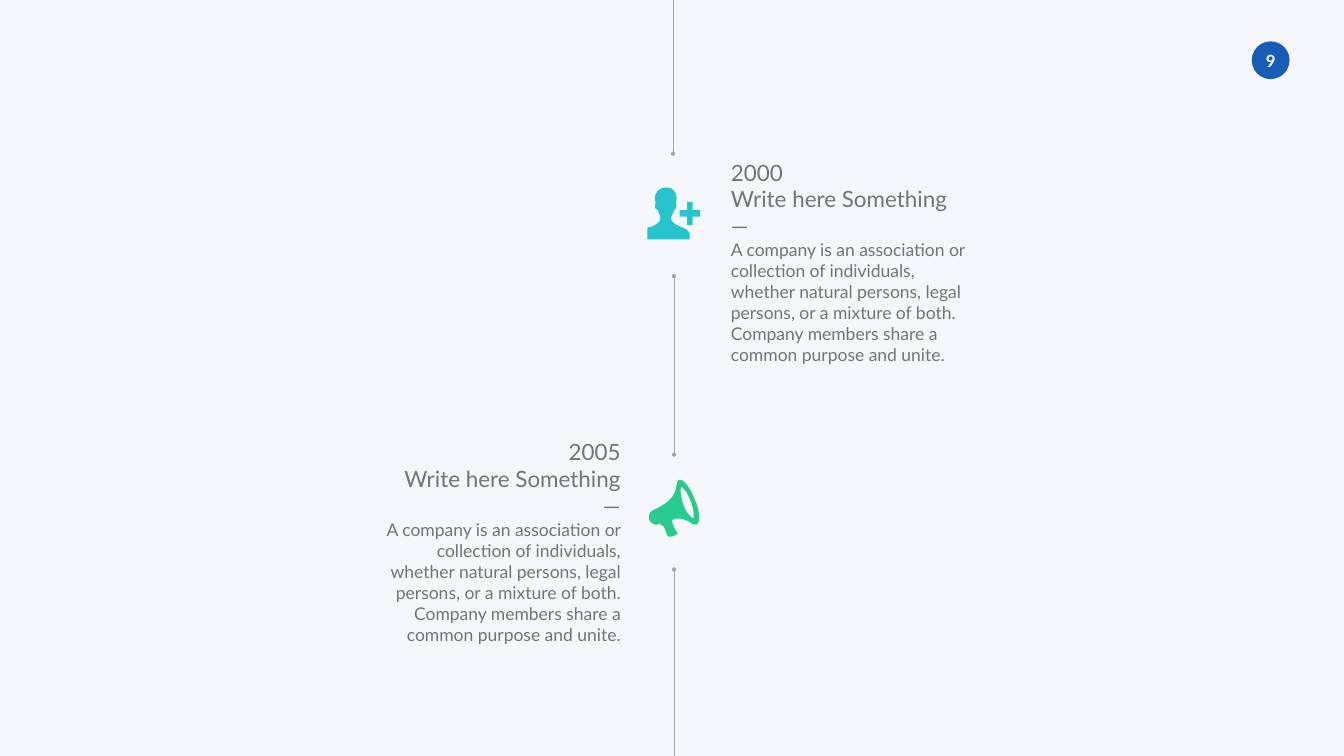
from lxml.etree import SubElement
from pptx import Presentation
from pptx.dml.color import RGBColor
from pptx.enum.shapes import MSO_CONNECTOR, MSO_SHAPE
from pptx.enum.text import PP_ALIGN
from pptx.oxml.ns import qn
from pptx.util import Inches, Pt

BACKGROUND = RGBColor(0xF6, 0xF7, 0xFA)
BLUE = RGBColor(0x17, 0x5C, 0xB5)
WHITE = RGBColor(0xFF, 0xFF, 0xFF)
LINE_GRAY = RGBColor(0xA6, 0xA6, 0xA6)
TEXT_GRAY = RGBColor(0x73, 0x75, 0x72)
TEAL = RGBColor(0x27, 0xC5, 0xCB)
GREEN = RGBColor(0x28, 0xCB, 0x8D)

BODY = (
    "A company is an association or collection of individuals, whether natural "
    "persons, legal persons, or a mixture of both. Company members share a "
    "common purpose and unite."
)

PERSON = [
    (13.5, 4.5),
    (13.37, 4.44, 13.31, 4.4, 13.31, 4.32),
    (13.31, 4.25, 13.35, 4.27, 13.37, 4.17),
    (13.39, 4.13, 13.42, 4.17, 13.42, 4.07),
    (13.42, 4.03, 13.41, 4.03, 13.41, 4.03),
    (13.41, 4.03, 13.42, 3.97, 13.42, 3.93),
    (13.42, 3.86, 13.39, 3.72, 13.22, 3.72),
    (13.03, 3.72, 12.99, 3.86, 12.99, 3.93),
    (12.99, 3.97, 13.01, 4.03, 13.01, 4.03),
    (13.01, 4.03, 12.99, 4.03, 12.99, 4.07),
    (12.99, 4.17, 13.03, 4.13, 13.05, 4.17),
    (13.07, 4.27, 13.1, 4.25, 13.1, 4.32),
    (13.1, 4.4, 13.05, 4.44, 12.92, 4.5),
    (12.92, 4.5, 12.88, 4.5, 12.84, 4.52),
    (12.84, 4.75),
    (13.68, 4.75),
    (13.68, 4.65),
    (13.68, 4.6, 13.63, 4.54, 13.5, 4.5),
]
PLUS = [
    (13.74, 4.17), (13.74, 4.01), (13.63, 4.01), (13.63, 4.17),
    (13.48, 4.17), (13.48, 4.3), (13.63, 4.3), (13.63, 4.46),
    (13.74, 4.46), (13.74, 4.3), (13.89, 4.3), (13.89, 4.17),
]
MEGAPHONE = [
    (13.78, 9.91),
    (13.7, 9.68, 13.56, 9.5, 13.47, 9.52),
    (13.35, 9.59, 13.56, 9.86, 12.94, 10.13),
    (12.88, 10.16, 12.86, 10.25, 12.88, 10.32),
    (12.9, 10.36, 12.98, 10.43, 13.04, 10.41),
    (13.08, 10.38),
    (13.13, 10.45, 13.17, 10.41, 13.17, 10.45),
    (13.19, 10.5, 13.23, 10.59, 13.23, 10.61),
    (13.25, 10.63, 13.27, 10.68, 13.29, 10.65),
    (13.31, 10.65, 13.39, 10.63, 13.41, 10.61),
    (13.45, 10.61, 13.45, 10.59, 13.43, 10.56),
    (13.43, 10.54, 13.39, 10.52, 13.39, 10.5),
    (13.37, 10.47, 13.35, 10.38, 13.33, 10.36),
    (13.31, 10.34, 13.35, 10.29, 13.39, 10.29),
    (13.68, 10.27, 13.72, 10.45, 13.82, 10.41),
    (13.89, 10.38, 13.89, 10.13, 13.78, 9.91),
]
MEGAPHONE_OPENING = [
    (13.76, 10.29),
    (13.74, 10.29, 13.62, 10.2, 13.56, 10.02),
    (13.49, 9.84, 13.49, 9.66, 13.52, 9.66),
    (13.54, 9.66, 13.64, 9.77, 13.7, 9.95),
    (13.78, 10.13, 13.76, 10.27, 13.76, 10.29),
]


class TimelinePage:
    font_name = "Lato"

    def __init__(self, deck):
        self.page = deck.slides.add_slide(deck.slide_layouts[6])
        self.shapes = self.page.shapes
        fill = self.page.background.fill
        fill.solid()
        fill.fore_color.rgb = BACKGROUND

    def paint(self, shape, color):
        shape.shadow.inherit = False
        shape.fill.solid()
        shape.fill.fore_color.rgb = color
        shape.line.fill.background()

    def circle(self, left, top, size, color):
        shape = self.shapes.add_shape(
            MSO_SHAPE.OVAL, Inches(left), Inches(top), Inches(size), Inches(size)
        )
        self.paint(shape, color)

    def icon(self, outlines, color):
        builder = None
        for outline in outlines:
            points = [
                (Inches(x), Inches(y))
                for piece in outline
                for x, y in zip(piece[::2], piece[1::2])
            ]
            if builder is None:
                builder = self.shapes.build_freeform(*points[0], scale=1.0)
            else:
                builder.move_to(*points[0])
            builder.add_line_segments(points[1:], close=True)
        shape = builder.convert_to_shape()
        self.bend(shape, [piece for outline in outlines for piece in outline[1:]])
        self.paint(shape, color)

    def bend(self, shape, pieces):
        contour = next(shape._element.iter(qn("a:path")))
        segments = iter(contour.findall(qn("a:lnTo")))
        for piece in pieces:
            segment = next(segments)
            if len(piece) == 6:
                segment.tag = qn("a:cubicBezTo")
                for extra in (next(segments), next(segments)):
                    segment.append(extra[0])
                    contour.remove(extra)

    def line(self, x, start, end, dots):
        connector = self.shapes.add_connector(
            MSO_CONNECTOR.STRAIGHT, Inches(x), Inches(start), Inches(x), Inches(end)
        )
        connector.line.width = Pt(0.5)
        connector.line.color.rgb = LINE_GRAY
        properties = connector._element.spPr
        for dot in dots:
            SubElement(properties.find(qn("a:ln")), qn(f"a:{dot}"), type="oval")
        SubElement(properties, qn("a:effectLst"))

    def text(self, left, top, width, height, lines, color, align, bold=False):
        box = self.shapes.add_textbox(
            Inches(left), Inches(top), Inches(width), Inches(height)
        )
        frame = box.text_frame
        frame.word_wrap = True
        frame.text = "\n".join(words for words, size in lines)
        for para, (words, size) in zip(frame.paragraphs, lines):
            para.alignment = align
            para.font.name = self.font_name
            para.font.size = Pt(size)
            para.font.bold = bold
            para.font.color.rgb = color
        return frame

    def page_number(self, number):
        self.circle(24.83, 0.82, 0.75, BLUE)
        frame = self.text(
            24.8, 0.9, 0.81, 0.61, [(number, 24)], WHITE, PP_ALIGN.CENTER, True
        )
        frame.word_wrap = False
        frame.margin_left = frame.margin_right = Inches(0.2)
        frame.margin_top = frame.margin_bottom = Inches(0.1)

    def milestone(self, left, top, year, align):
        lines = [(year, 32), ("Write here Something", 32), ("—", 32), (BODY, 25)]
        self.text(left, top, 4.89, 4.24, lines, TEXT_GRAY, align)


def main():
    deck = Presentation()
    deck.slide_width = Inches(26.66)
    deck.slide_height = Inches(15)
    page = TimelinePage(deck)

    page.page_number("9")

    page.line(13.37, 11.3, 15, ["headEnd"])
    page.line(13.37, 5.48, 9.02, ["headEnd", "tailEnd"])
    page.line(13.35, 3.05, 0, ["headEnd"])

    page.icon([PERSON, PLUS], TEAL)
    page.icon([MEGAPHONE, MEGAPHONE_OPENING], GREEN)

    page.milestone(7.52, 8.64, "2005", PP_ALIGN.RIGHT)
    page.milestone(14.4, 3.1, "2000", PP_ALIGN.LEFT)

    deck.save("out.pptx")


if __name__ == "__main__":
    main()
